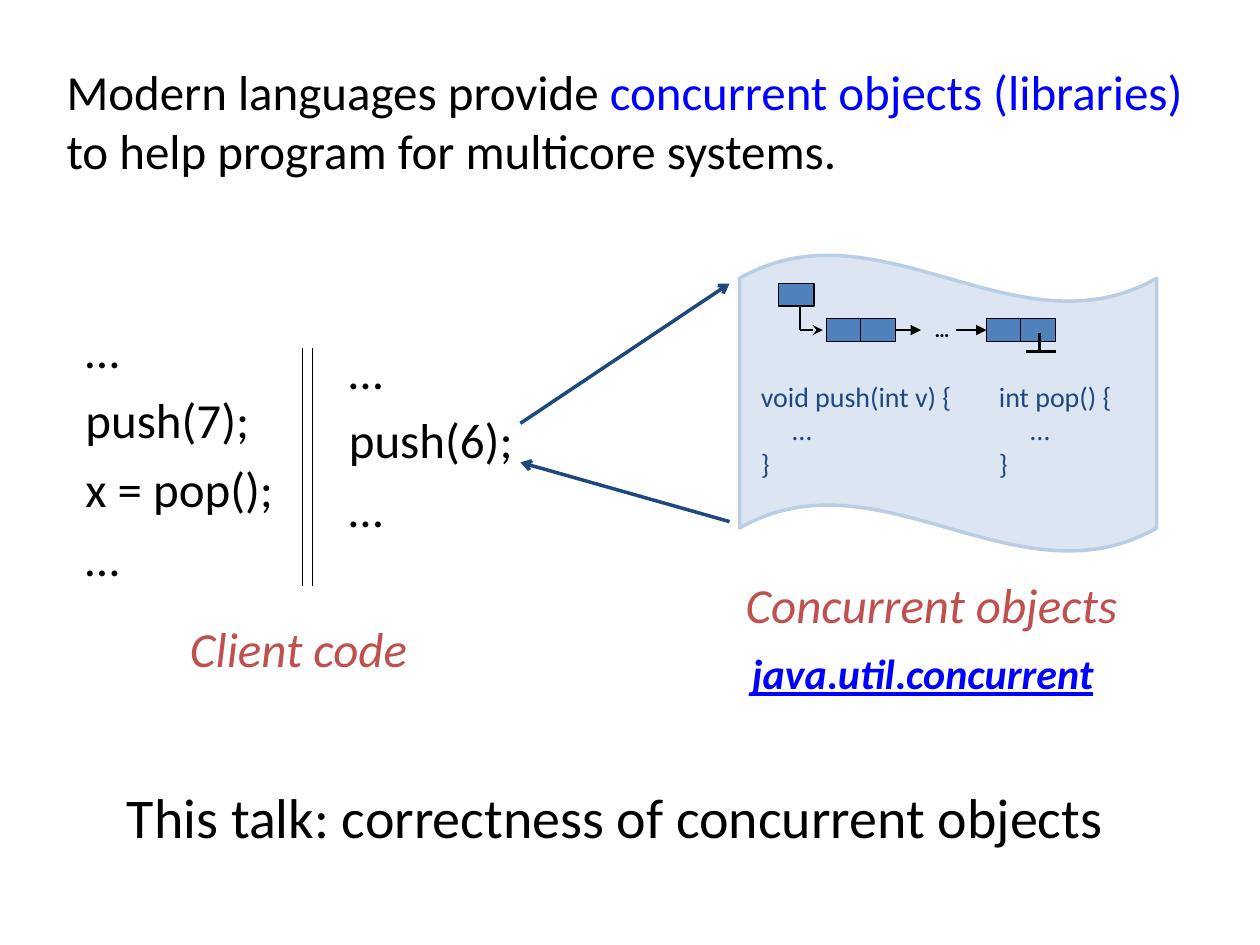
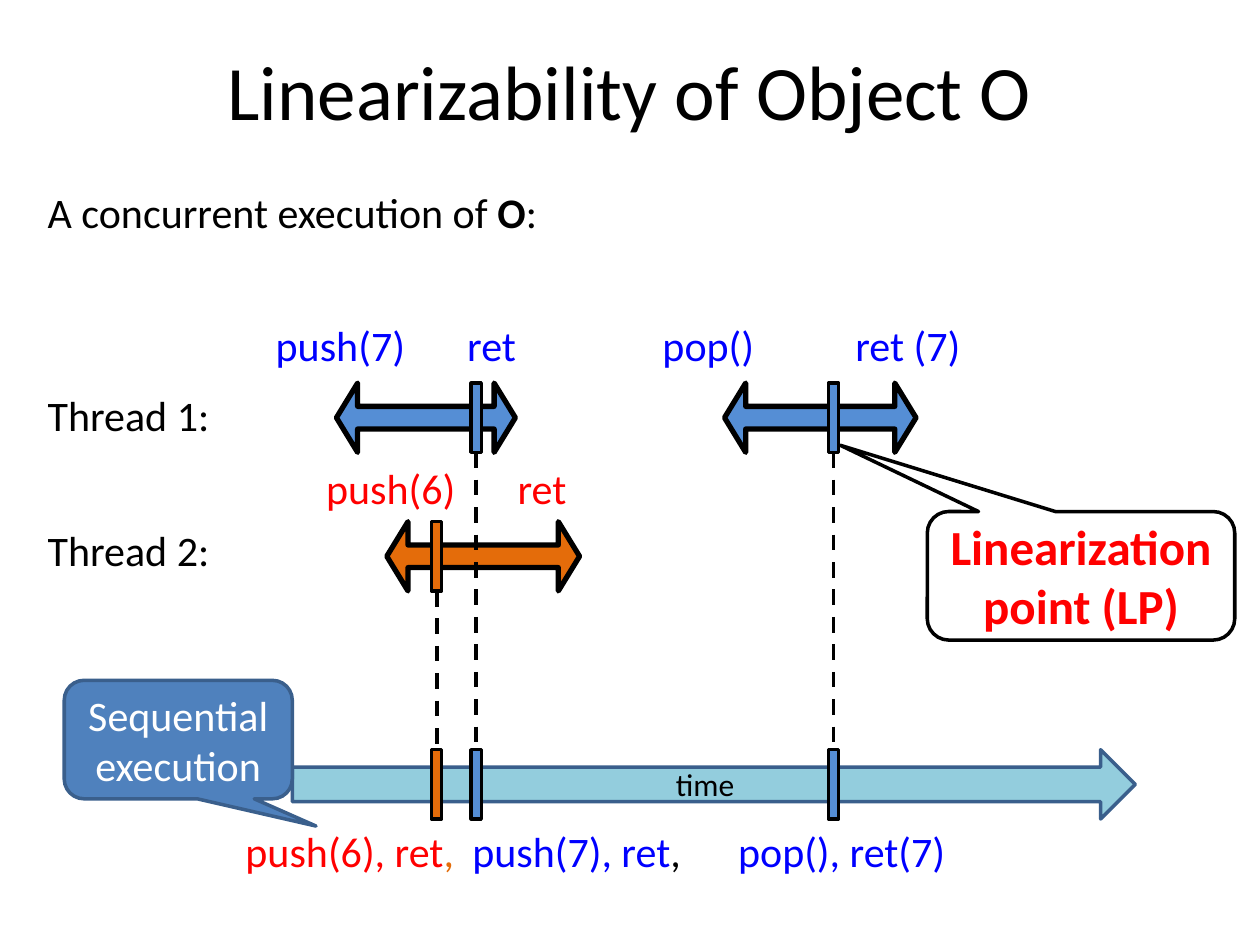
from lxml.etree import SubElement
from pptx import Presentation
from pptx.dml.color import RGBColor
from pptx.enum.dml import MSO_LINE_DASH_STYLE as Dash
from pptx.enum.shapes import MSO_CONNECTOR as Connector, MSO_SHAPE as Shape
from pptx.enum.text import MSO_ANCHOR as Anchor, PP_ALIGN as Align
from pptx.oxml.ns import qn
from pptx.util import Inches, Pt

COLORS = {
    "black": "000000", "white": "FFFFFF", "blue": "0000FF", "red": "FF0000",
    "brick": "C0504D", "navy": "1F497D", "steel": "4F81BD", "edge": "3A5F8C",
    "paper": "DCE6F2", "paper_edge": "B9CDE5", "sky": "558ED5",
    "orange": "E46C0A", "aqua": "93CDDD",
}

deck = Presentation()
deck.slide_width, deck.slide_height = Inches(10), Inches(7.5)
# The grid has 100 columns and 75 rows.
COLUMN, ROW = deck.slide_width / 100, deck.slide_height / 75


def add_box(page, at, paras=(), kind=None, fill=None, edge="black", width=0.75,
            adjust=(), wrap=True, size=24, color="black", layout=None, frame=None):
    """Add a preset shape, or a text box when kind is None, and return it.

    Each paragraph is a list of (text, font changes) spans.
    """
    left, top, wide, high = at
    place = [int(n) for n in (left * COLUMN, top * ROW, wide * COLUMN, high * ROW)]
    if kind is None:
        box = page.shapes.add_textbox(*place)
    else:
        box = page.shapes.add_shape(kind, *place)
        box.shadow.inherit = False
        box.fill.solid()
        box.fill.fore_color.rgb = RGBColor.from_string(COLORS[fill])
        box.line.color.rgb = RGBColor.from_string(COLORS[edge])
        box.line.width = Pt(width)
        for index, value in enumerate(adjust):
            box.adjustments[index] = value
    text = box.text_frame
    text.word_wrap = wrap
    for name, value in (frame or {}).items():
        setattr(text, name, value)
    for index, spans in enumerate(paras):
        para = text.add_paragraph() if index else text.paragraphs[0]
        for name, value in (layout or {}).items():
            setattr(para, name, value)
        for words, changes in spans:
            span = para.add_run()
            span.text = words
            font = {"name": "Calibri", "size": Pt(size), "color": color, **changes}
            span.font.color.rgb = RGBColor.from_string(COLORS[font.pop("color")])
            for name, value in font.items():
                setattr(span.font, name, value)
    return box


def add_line(page, start, end, width=0.75, color="black", head=None, dash=None):
    """Add a straight line, with an arrowhead at its end if head is given."""
    line = page.shapes.add_connector(
        Connector.STRAIGHT, int(start[0] * COLUMN), int(start[1] * ROW),
        int(end[0] * COLUMN), int(end[1] * ROW))
    line.line.color.rgb = RGBColor.from_string(COLORS[color])
    line.line.width = Pt(width)
    if dash:
        line.line.dash_style = dash
    if head:
        SubElement(line.line._get_or_add_ln(), qn("a:tailEnd"), type=head)
    SubElement(line._element.spPr, qn("a:effectLst"))


blank = deck.slide_layouts[6]
centred = {"layout": {"alignment": Align.CENTER},
           "frame": {"vertical_anchor": Anchor.MIDDLE}}

# Slide 1: client code calling concurrent objects
page = deck.slides.add_slide(blank)
add_box(page, (9.1, 61.6, 80.3, 6.6),
        [[("This talk: correctness of concurrent objects", {})]], size=32)
for x in (24, 24.8):
    add_line(page, (x, 27.6), (x, 46.5))

clients = [((5.8, 24.9, 17.4, 22.4), ["…", "push(7);", "x = pop();", "…"]),
           ((26.7, 26.5, 15.5, 16.8), ["…", "push(6);", "…"])]
for at, code in clients:
    add_box(page, at, [[(words, {})] for words in code], wrap=False, size=28,
            layout={"space_before": Pt(6)})

captions = [((14.1, 49.3, 22, 4.7), "Client code"),
            ((58.2, 45.8, 32.3, 4.7), "Concurrent objects")]
for at, words in captions:
    add_box(page, at, [[(words, {"italic": True})]], size=28, color="brick",
            frame={"vertical_anchor": Anchor.MIDDLE, "margin_top": 0})

library = [("java", True), (".", False), ("util", True), (".", False),
           ("concurrent", True)]
add_box(page, (58.7, 50.9, 29.4, 5), wrap=False, color="blue", paras=[
    [(words, {"bold": True, "underline": True, "italic": slanted})
     for words, slanted in library]])

add_box(page, (58.7, 20.2, 33.1, 23.6), kind=Shape.WAVE, fill="paper",
        edge="paper_edge", width=2, adjust=(0.08, 0))
methods = [((59.4, 29.6, 18.1, 9.1), "void push(int v) {"),
           ((78.3, 29.6, 11.6, 9.1), "int pop() {")]
for at, header in methods:
    method = add_box(page, at, [[(words, {})] for words in (header, "…", "}")],
                     size=16, color="navy")
    body = method.text_frame.paragraphs[1]
    body._p.get_or_add_pPr().set("marL", str(int(2.5 * COLUMN)))

# Linked list: the top pointer, then two nodes of two cells each
for x, y in ((61.8, 22.5), (65.6, 25.3), (68.3, 25.3), (78.3, 25.3), (81, 25.3)):
    add_box(page, (x, y, 2.8, 1.8), kind=Shape.RECTANGLE, fill="steel")
add_box(page, (73.2, 24.6, 2.6, 3), [[("…", {"bold": True})]], size=12)
links = [((71.1, 26.2), (73.1, 26.2), 0.75, "triangle"),
         ((75.9, 26.2), (78.3, 26.2), 0.75, "triangle"),
         ((82.5, 26.4), (82.5, 27.9), 1.5, None),
         ((81.4, 27.9), (83.8, 27.9), 1.5, None),
         ((63.5, 24.4), (63.5, 26.2), 1.5, None),
         ((63.5, 26.2), (65.3, 26.2), 1.5, "stealth")]
for start, end, width, head in links:
    add_line(page, start, end, width, head=head)

add_box(page, (4.3, 4.4, 92.5, 10.4), size=28, wrap=False, paras=[
    [("Modern languages provide ", {}),
     ("concurrent objects (libraries) ", {"color": "blue"})],
    [("to help program for multicore systems.", {})]])
for start, end in (((41.3, 33.6), (57.9, 22.5)), ((57.9, 41.4), (41.3, 36.7))):
    add_line(page, start, end, 2, "navy", "arrow")

# Slide 2: an execution of two threads and its linearization
page = deck.slides.add_slide(blank)
BAR = 5.5
TIME_TOP = 59.5
add_box(page, (2.8, 14.3, 95.3, 5), [
    [("A concurrent execution of ", {}), ("O", {"bold": True}), (":", {})]])
for y, words in ((30.4, "Thread 1:"), (41.1, "Thread 2:")):
    add_box(page, (2.8, y, 15, 5), [[(words, {})]], wrap=False)

# Arrow left, top and width, fill, text colour, point, label top,
# then labels (left, width, text)
operations = [
    (26.7, 30.4, 14.2, "sky", "blue", 37.8, 24.9,
     [(20.9, 12.4, "push(7)"), (36.1, 5.9, "ret")]),
    (57.5, 30.4, 15.2, "sky", "blue", 66.15, 24.9,
     [(51.6, 9.4, "pop()"), (66.9, 11.6, "ret (7)")]),
    (30.7, 41.4, 15.3, "orange", "red", 34.65, 36.2,
     [(24.9, 12.4, "push(6)"), (40.1, 5.9, "ret")]),
]
for left, top, wide, fill, color, point, label_top, labels in operations:
    add_box(page, (left, top, wide, BAR), kind=Shape.LEFT_RIGHT_ARROW, fill=fill,
            width=3, adjust=(0.327, 0.306))
    for x, label_width, words in labels:
        add_box(page, (x, label_top, label_width, 5), [[(words, {})]], color=color,
                wrap=" " in words)

add_box(page, (23.2, TIME_TOP, 66.9, BAR), [[("time", {})]], kind=Shape.RIGHT_ARROW,
        fill="aqua", edge="edge", width=2, size=18, **centred)
for left, top, wide, fill, color, point, label_top, labels in operations:
    add_line(page, (point, top + BAR), (point, TIME_TOP), 2.25, dash=Dash.DASH)
    for y in (top, TIME_TOP):
        add_box(page, (point - 0.4, y, 0.8, BAR), kind=Shape.RECTANGLE, fill=fill,
                width=2)

history = add_box(page, (18.5, 65, 61.4, 5), color="blue", paras=[
    [("push(6), ret", {"color": "red"}), (",\t", {"color": "orange"}),
     ("push(7), ret", {}), (",\t", {"color": "black"}), ("pop(), ret(7)", {})]])
tabs = SubElement(history.text_frame.paragraphs[0]._p.get_or_add_pPr(), qn("a:tabLst"))
for stop in (18, 39.1):
    SubElement(tabs, qn("a:tab"), pos=str(int(stop * COLUMN)), algn="l")

callouts = [
    ((5.1, 54, 18.1, 9.4), "Sequential execution", "steel", "edge",
     (0.604, 0.73, 0.167), 24, {"color": "white"}),
    ((73.6, 40.6, 24.4, 10.2), "Linearization point (LP)", "white", "black",
     (-0.783, -1.016, 0.167), 28, {"color": "red", "bold": True}),
]
for at, words, fill, edge, adjust, size, changes in callouts:
    add_box(page, at, [[(words, changes)]], kind=Shape.ROUNDED_RECTANGULAR_CALLOUT,
            fill=fill, edge=edge, width=2, adjust=adjust, size=size, **centred)
add_box(page, (5, 3, 90, 8.5), [[("Linearizability of Object O", {})]], size=44,
        layout={"alignment": Align.CENTER})

deck.save("out.pptx")
